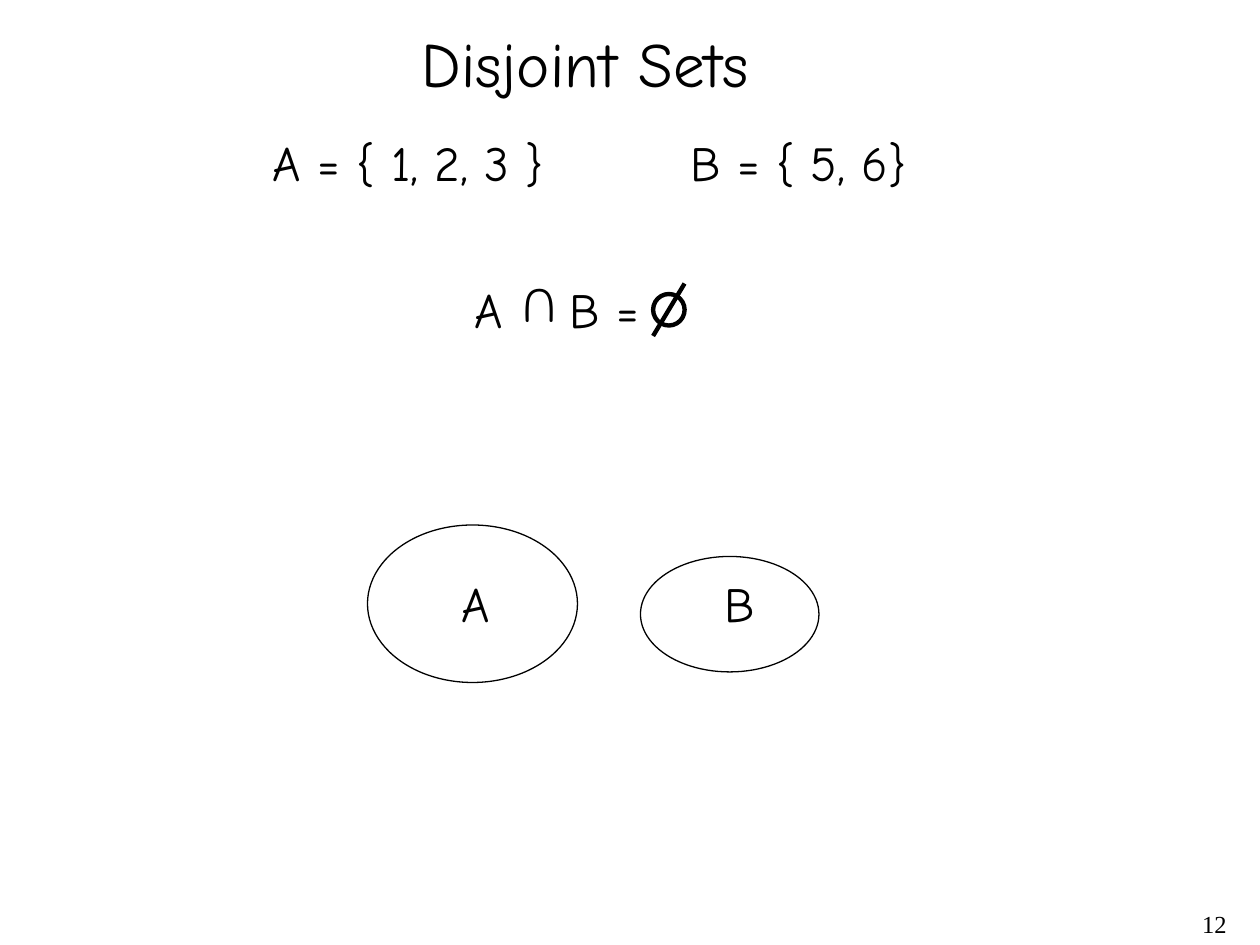
from collections import namedtuple
from dataclasses import dataclass
from pptx import Presentation
from pptx.dml.color import RGBColor as Color
from pptx.enum.shapes import MSO_CONNECTOR as Connector, MSO_SHAPE as Preset
from pptx.enum.text import PP_ALIGN as Align
from pptx.oxml.ns import qn
from pptx.util import Inches, Pt
from lxml.etree import SubElement

Box = namedtuple("Box", "col row cols rows")
GRID_PER_INCH = 12
LINE_ROWS = 6.8


@dataclass(frozen=True)
class Theme:
    ink: Color = Color(0, 0, 0)
    body_font: str = "Comic Neue"
    number_font: str = "Times New Roman"
    title_size: float = 36
    body_size: float = 28
    number_size: float = 14
    thin: float = 0.75
    thick: float = 2.5


THEME = Theme()


def grid(units):
    return Inches(units / GRID_PER_INCH)


def inside(box, col, row, cols, rows):
    return Box(box.col + col, box.row + row, cols, rows)


def add_text(shapes, box, text, size=THEME.body_size, font=THEME.body_font,
             align=Align.LEFT, tab=None):
    label = shapes.add_textbox(*map(grid, box))
    label.text_frame.word_wrap = True
    paragraph = label.text_frame.paragraphs[0]
    paragraph.text = text
    paragraph.alignment = align
    if tab is not None:
        stops = SubElement(paragraph._p.get_or_add_pPr(), qn("a:tabLst"))
        SubElement(stops, qn("a:tab"), pos=str(grid(tab)), algn="l")
    for run in paragraph.runs:
        run.font.name = font
        run.font.size = Pt(size)
        run.font.color.rgb = THEME.ink
    return label


def add_outline(shapes, box, width):
    oval = shapes.add_shape(Preset.OVAL, *map(grid, box))
    oval.shadow.inherit = False
    oval.fill.background()
    oval.line.color.rgb = THEME.ink
    oval.line.width = Pt(width)


def add_slash(shapes, box):
    ends = (box.col + box.cols, box.row, box.col, box.row + box.rows)
    slash = shapes.add_connector(Connector.STRAIGHT, *map(grid, ends))
    slash.line.color.rgb = THEME.ink
    slash.line.width = Pt(THEME.thick)
    SubElement(slash._element.spPr, qn("a:effectLst"))


def add_intersection(shapes, box):
    equation = shapes.add_group_shape().shapes
    add_text(equation, box, "A\tB =", tab=9.1)
    cap = add_text(equation, inside(box, 4.2, 0, 6, LINE_ROWS), "U")
    cap.rotation = 180
    add_outline(equation, inside(box, 18.2, 2, 3, 3), THEME.thick)
    add_slash(equation, inside(box, 18.2, 1, 3, 5))


def add_venn(shapes, box):
    add_outline(shapes, inside(box, 0, 0, 20, 15), THEME.thin)
    add_outline(shapes, inside(box, 26, 3, 17, 11), THEME.thin)
    for name, col in (("A", 7.8), ("B", 32.8)):
        add_text(shapes, inside(box, col, 4, 5.8, LINE_ROWS), name)


def main():
    deck = Presentation()
    deck.slide_width, deck.slide_height = Inches(10), Inches(7.5)
    shapes = deck.slides.add_slide(deck.slide_layouts[6]).shapes
    add_text(shapes, Box(93, 86, 25, 4), "12", THEME.number_size,
             THEME.number_font, Align.RIGHT)
    add_text(shapes, Box(39, 1.7, 39.6, 8.4), "Disjoint Sets", THEME.title_size)
    add_text(shapes, Box(24.8, 12, 65.6, LINE_ROWS),
             "A = { 1, 2, 3 }\tB = { 5, 6}", tab=39.8)
    add_intersection(shapes, Box(44, 26, 22.3, LINE_ROWS))
    add_venn(shapes, Box(35, 50, 43, 15))
    deck.save("out.pptx")


if __name__ == "__main__":
    main()
